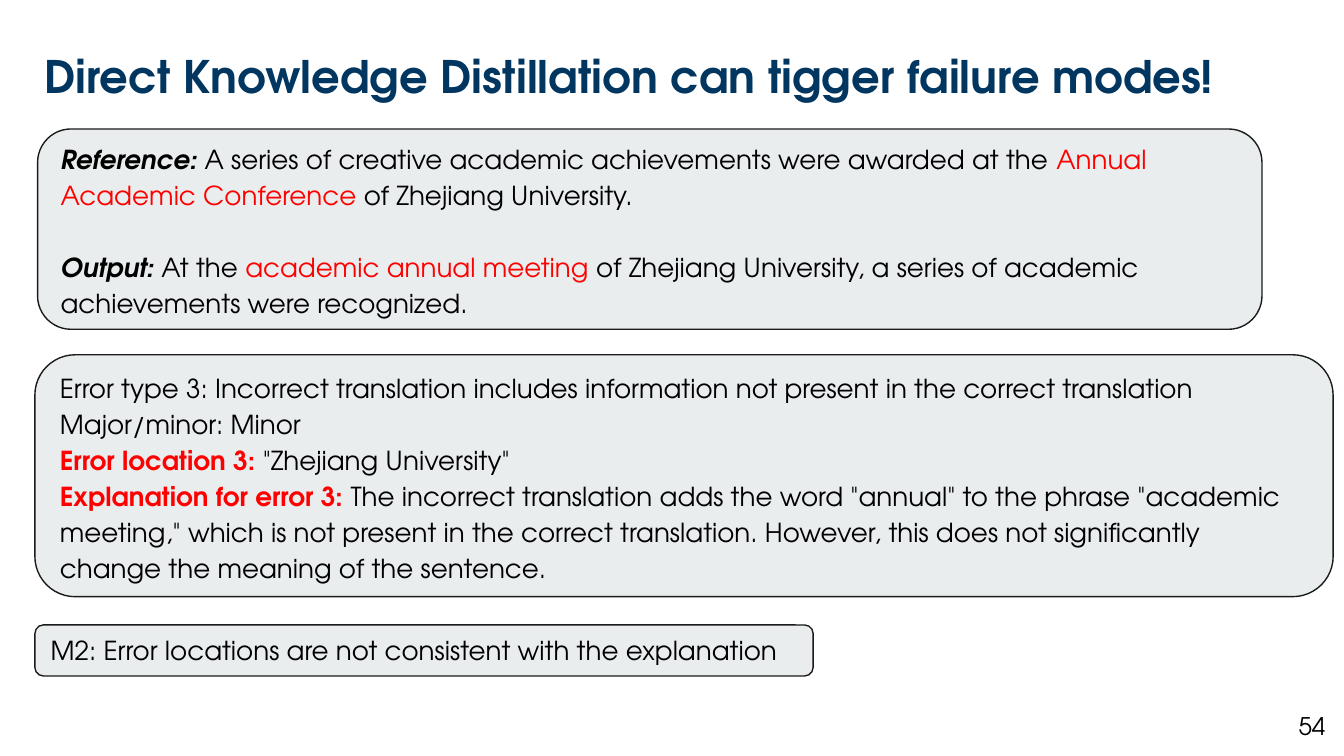
from pptx import Presentation
from pptx.dml.color import RGBColor
from pptx.enum.shapes import MSO_SHAPE
from pptx.enum.text import MSO_ANCHOR, PP_ALIGN
from pptx.util import Inches, Pt

NAVY = RGBColor(0x00, 0x36, 0x60)
BLACK = RGBColor(0x00, 0x00, 0x00)
RED = RGBColor(0xFF, 0x00, 0x00)
PANEL = RGBColor(0xE9, 0xED, 0xEE)
OUTLINE = RGBColor(0x1A, 0x1A, 0x1A)

SLIDE_WIDTH = 10
SLIDE_HEIGHT = SLIDE_WIDTH * 9 / 16

PLAIN = {}
RED_TEXT = {"color": RED}
RED_LABEL = {"color": RED, "bold": True}
ITALIC_LABEL = {"bold": True, "italic": True}


class SlideBuilder:
    font_name = "TeX Gyre Adventor"
    body_size = 14

    def __init__(self, slide):
        self.slide = slide

    def add_run(self, paragraph, text, size, color=BLACK, bold=False, italic=False):
        run = paragraph.add_run()
        run.text = text
        font = run.font
        font.name = self.font_name
        font.size = Pt(size)
        font.color.rgb = color
        font.bold = bold
        font.italic = italic

    def label(self, box, text, size, margin, align=PP_ALIGN.LEFT, spacing=1.0, **style):
        frame = self.slide.shapes.add_textbox(*map(Inches, box)).text_frame
        frame.word_wrap = True
        frame.margin_left = frame.margin_right = Inches(0.1)
        frame.margin_top = frame.margin_bottom = Inches(margin)
        paragraph = frame.paragraphs[0]
        paragraph.alignment = align
        paragraph.line_spacing = spacing
        self.add_run(paragraph, text, size, **style)

    def panel(self, box, paragraphs, spacing=1.15, gap=0):
        shape = self.slide.shapes.add_shape(MSO_SHAPE.ROUNDED_RECTANGLE, *map(Inches, box))
        shape.shadow.inherit = False
        shape.fill.solid()
        shape.fill.fore_color.rgb = PANEL
        shape.line.color.rgb = OUTLINE
        shape.line.width = Pt(0.75)
        frame = shape.text_frame
        frame.word_wrap = True
        frame.vertical_anchor = MSO_ANCHOR.MIDDLE
        frame.margin_left = frame.margin_right = Inches(0.1)
        frame.margin_top = frame.margin_bottom = Inches(0.05)
        for index, runs in enumerate(paragraphs):
            paragraph = frame.add_paragraph() if index else frame.paragraphs[0]
            paragraph.alignment = PP_ALIGN.LEFT
            paragraph.line_spacing = spacing
            if index and gap:
                paragraph.space_before = Pt(gap)
            for text, style in runs:
                self.add_run(paragraph, text, self.body_size, **style)


def main():
    presentation = Presentation()
    presentation.slide_width = Inches(SLIDE_WIDTH)
    presentation.slide_height = Inches(SLIDE_HEIGHT)
    builder = SlideBuilder(presentation.slides.add_slide(presentation.slide_layouts[6]))

    builder.label(
        (0.23, 0.36, 9.11, 0.38),
        "Direct Knowledge Distillation can tigger failure modes!",
        24, 0.05, spacing=0.9, color=NAVY, bold=True,
    )

    translations = [
        [
            ("Reference: ", ITALIC_LABEL),
            ("A series of creative academic achievements were awarded at the ", PLAIN),
            ("Annual Academic Conference", RED_TEXT),
            (" of Zhejiang University.", PLAIN),
        ],
        [
            ("Output: ", ITALIC_LABEL),
            ("At the ", PLAIN),
            ("academic annual meeting", RED_TEXT),
            (" of Zhejiang University, a series of academic achievements were recognized.", PLAIN),
        ],
    ]
    builder.panel((0.28, 0.96, 9.11, 1.49), translations, gap=19.3)

    error_report = [
        [("Error type 3: Incorrect translation includes information not present "
          "in the correct translation", PLAIN)],
        [("Major/minor: Minor", PLAIN)],
        [("Error location 3: ", RED_LABEL), ('"Zhejiang University"', PLAIN)],
        [
            ("Explanation for error 3: ", RED_LABEL),
            ('The incorrect translation adds the word "annual" to the phrase '
             '"academic meeting," which is not present in the correct translation. '
             "However, this does not significantly change the meaning of the sentence.", PLAIN),
        ],
    ]
    builder.panel((0.26, 2.64, 9.66, 1.8), error_report)

    failure_mode = [[("M2: Error locations are not consistent with the explanation", PLAIN)]]
    builder.panel((0.26, 4.65, 5.79, 0.38), failure_mode, spacing=1.0)

    builder.label((9.36, 5.19, 0.6, 0.43), "54", 13, 0.1, align=PP_ALIGN.RIGHT)

    presentation.save("out.pptx")


if __name__ == "__main__":
    main()
